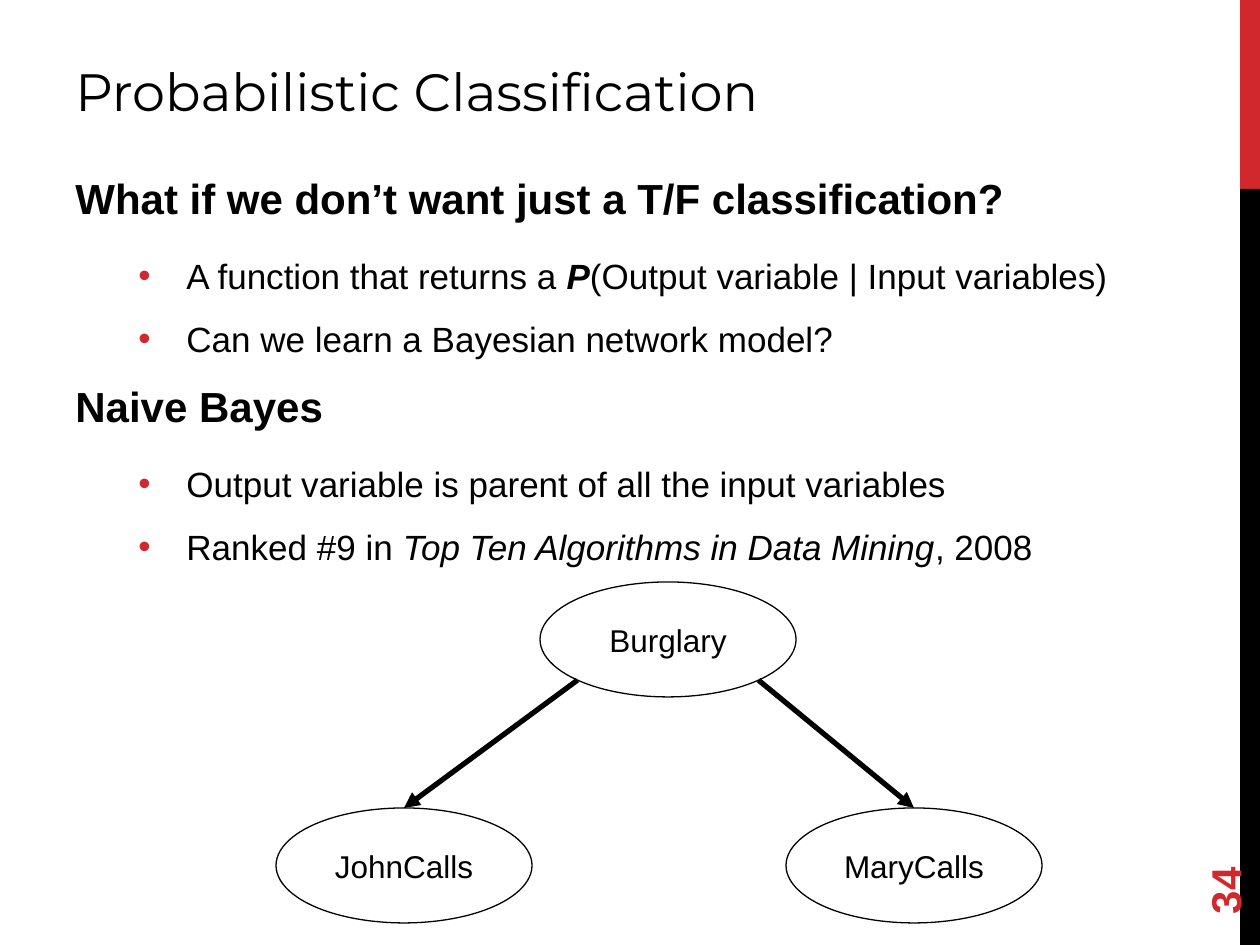
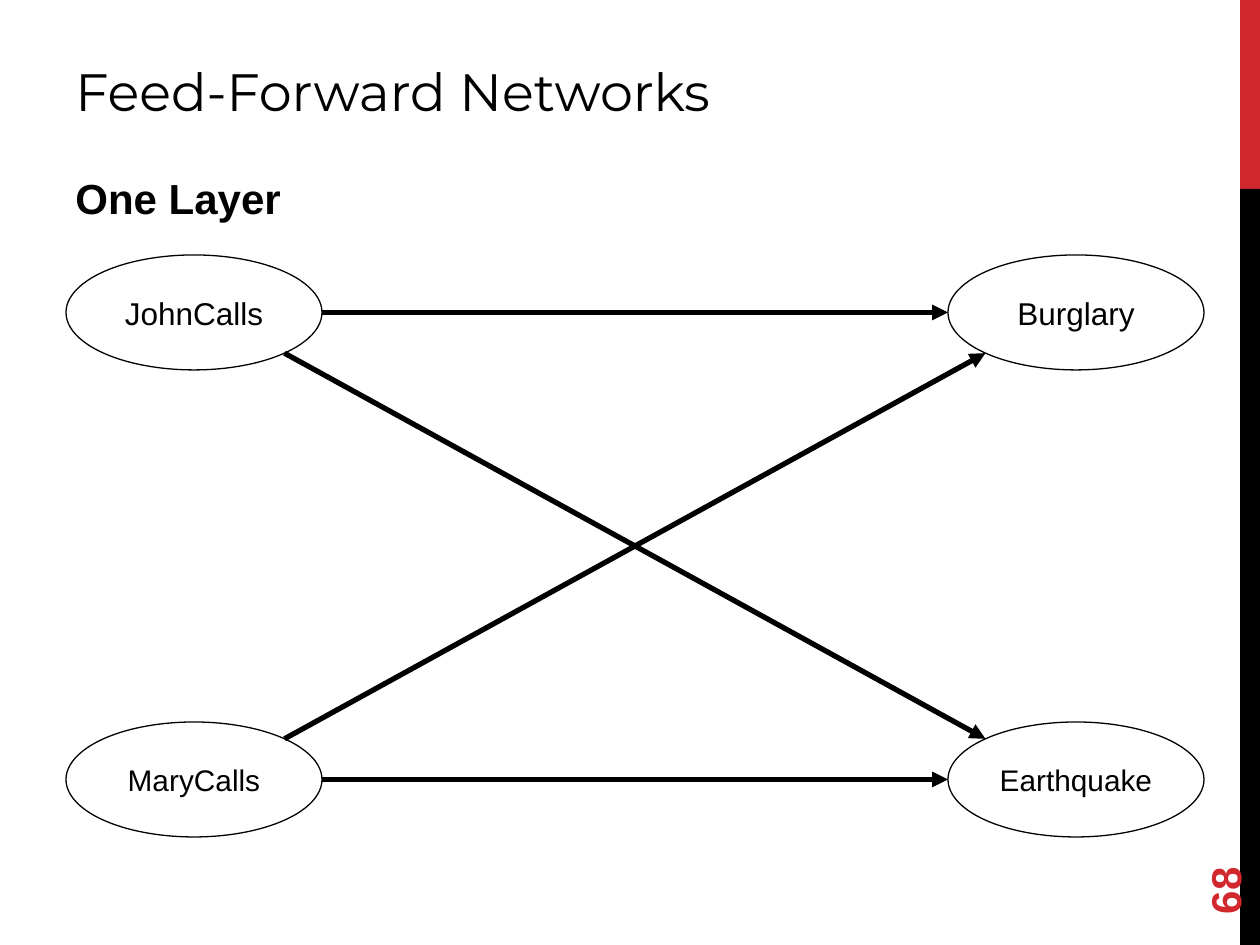
"""Build two slides on Bayesian and feed-forward networks."""
from math import cos, radians, sin

from lxml.etree import SubElement
from pptx import Presentation
from pptx.dml.color import RGBColor
from pptx.enum.shapes import MSO_CONNECTOR, MSO_SHAPE
from pptx.enum.text import MSO_ANCHOR, PP_ALIGN
from pptx.oxml.ns import qn
from pptx.util import Emu, Pt

HEADING, BULLET = "heading", "bullet"
SLIDES = [
    {
        "title": "Probabilistic Classification",
        "number": "34",
        "body": [
            (HEADING, [("What if we don’t want just a T/F classification?", "b")]),
            (BULLET, [("A function that returns a ", ""), ("P", "bi"),
                      ("(Output variable | Input variables)", "")]),
            (BULLET, [("Can we learn a Bayesian network model?", "")]),
            (HEADING, [("Naive Bayes", "b")]),
            (BULLET, [("Output variable is parent of all the input variables", "")]),
            (BULLET, [("Ranked #9 in ", ""), ("Top Ten Algorithms in Data Mining", "i"),
                      (", 2008", "")]),
        ],
        "nodes": {
            "Burglary": (540, 582, 18),
            "JohnCalls": (276, 808, 18),
            "MaryCalls": (786, 808, 18),
        },
        "arrows": [
            ("Burglary", "bottom left", "JohnCalls", "top"),
            ("Burglary", "bottom right", "MaryCalls", "top"),
        ],
    },
    {
        "title": "Feed-Forward Networks",
        "number": "68",
        "body": [(HEADING, [("One Layer", "b")])],
        "nodes": {
            "JohnCalls": (66, 255, 18),
            "MaryCalls": (66, 722, 17),
            "Burglary": (948, 255, 18),
            "Earthquake": (948, 722, 17),
        },
        "arrows": [
            ("JohnCalls", "right", "Burglary", "left"),
            ("MaryCalls", "right", "Earthquake", "left"),
            ("MaryCalls", "top right", "Burglary", "bottom left"),
            ("JohnCalls", "bottom right", "Earthquake", "top left"),
        ],
    },
]

PX = 914400 / 126
RED, BLACK = "D1282E", "000000"
BODY_FONT, TITLE_FONT = "Arial", "Montserrat"
BANDS = [((1240, 0, 20, 189), RED), ((1240, 189, 20, 756), BLACK)]
TITLE_BOX = (63, 21, 1114, 107)
BODY_BOX = (63, 164, 1114, 762)
NUMBER_BOX = (1134, 811, 181, 50)
NODE_WIDTH, NODE_HEIGHT = 256, 115
SITE_ANGLES = {"right": 0, "bottom right": 45, "bottom left": 135, "left": 180,
               "top left": 225, "top": 270, "top right": 315}


def px(*lengths):
    return [Emu(round(length * PX)) for length in lengths]


def color(value):
    return RGBColor.from_string(value)


def add_run(paragraph, text, size=20, font=BODY_FONT, fill=BLACK, style=""):
    run = paragraph.add_run()
    run.text = text
    run.font.size = Pt(size)
    run.font.name = font
    run.font.color.rgb = color(fill)
    run.font.bold = "b" in style
    run.font.italic = "i" in style


def add_box(slide, box, anchor=MSO_ANCHOR.TOP):
    shape = slide.shapes.add_textbox(*px(*box))
    shape.text_frame.word_wrap = True
    shape.text_frame.vertical_anchor = anchor
    return shape


def add_label(slide, box, text, anchor, rotation=0, **run_format):
    shape = add_box(slide, box, anchor)
    shape.rotation = rotation
    add_run(shape.text_frame.paragraphs[0], text, **run_format)


def add_bullet(paragraph):
    properties = paragraph._p.get_or_add_pPr()
    margin, indent = px(111, -48)
    properties.set("marL", str(margin))
    properties.set("indent", str(indent))
    bullet_color = SubElement(properties, qn("a:buClr"))
    SubElement(bullet_color, qn("a:srgbClr"), val=RED)
    SubElement(properties, qn("a:buFont"), typeface=BODY_FONT)
    SubElement(properties, qn("a:buChar"), char="•")


def add_body(slide, content):
    frame = add_box(slide, BODY_BOX).text_frame
    for index, (kind, runs) in enumerate(content):
        paragraph = frame.add_paragraph() if index else frame.paragraphs[0]
        paragraph.line_spacing = 1.05
        paragraph.space_before = Pt(10.8)
        paragraph.space_after = Pt(6 if kind == HEADING else 0)
        if kind == BULLET:
            add_bullet(paragraph)
        for text, style in runs:
            add_run(paragraph, text, size=24 if kind == HEADING else 20, style=style)


def add_bands(slide):
    for box, fill in BANDS:
        band = slide.shapes.add_shape(MSO_SHAPE.RECTANGLE, *px(*box))
        band.shadow.inherit = False
        band.fill.solid()
        band.fill.fore_color.rgb = color(fill)
        band.line.fill.background()


def add_node(slide, name, left, top, size):
    node = slide.shapes.add_shape(
        MSO_SHAPE.OVAL, *px(left, top, NODE_WIDTH, NODE_HEIGHT))
    node.shadow.inherit = False
    node.fill.background()
    node.line.color.rgb = color(BLACK)
    node.line.width = Pt(0.75)
    frame = node.text_frame
    frame.vertical_anchor = MSO_ANCHOR.MIDDLE
    frame.margin_top = frame.margin_bottom = Pt(7.2)
    frame.paragraphs[0].alignment = PP_ALIGN.CENTER
    add_run(frame.paragraphs[0], name, size=size)


def site_point(node, site):
    left, top, _ = node
    angle = radians(SITE_ANGLES[site])
    return px(left + NODE_WIDTH / 2 * (1 + cos(angle)),
              top + NODE_HEIGHT / 2 * (1 + sin(angle)))


def add_arrow(slide, start, end):
    arrow = slide.shapes.add_connector(MSO_CONNECTOR.STRAIGHT, *start, *end)
    arrow.line.color.rgb = color(BLACK)
    arrow.line.width = Pt(3)
    SubElement(arrow.line._get_or_add_ln(), qn("a:tailEnd"), type="triangle")
    SubElement(arrow._element.spPr, qn("a:effectLst"))


def add_slide(presentation, content):
    slide = presentation.slides.add_slide(presentation.slide_layouts[6])
    add_bands(slide)
    add_label(slide, TITLE_BOX, content["title"], MSO_ANCHOR.BOTTOM,
              size=30, font=TITLE_FONT)
    add_body(slide, content["body"])
    add_label(slide, NUMBER_BOX, content["number"], MSO_ANCHOR.MIDDLE,
              rotation=270, size=24, fill=RED, style="b")
    nodes = content["nodes"]
    for name, node in nodes.items():
        add_node(slide, name, *node)
    for source, source_site, target, target_site in content["arrows"]:
        add_arrow(slide, site_point(nodes[source], source_site),
                  site_point(nodes[target], target_site))


def main():
    presentation = Presentation()
    presentation.slide_width, presentation.slide_height = px(1260, 945)
    for content in SLIDES:
        add_slide(presentation, content)
    presentation.save("out.pptx")


if __name__ == "__main__":
    main()
